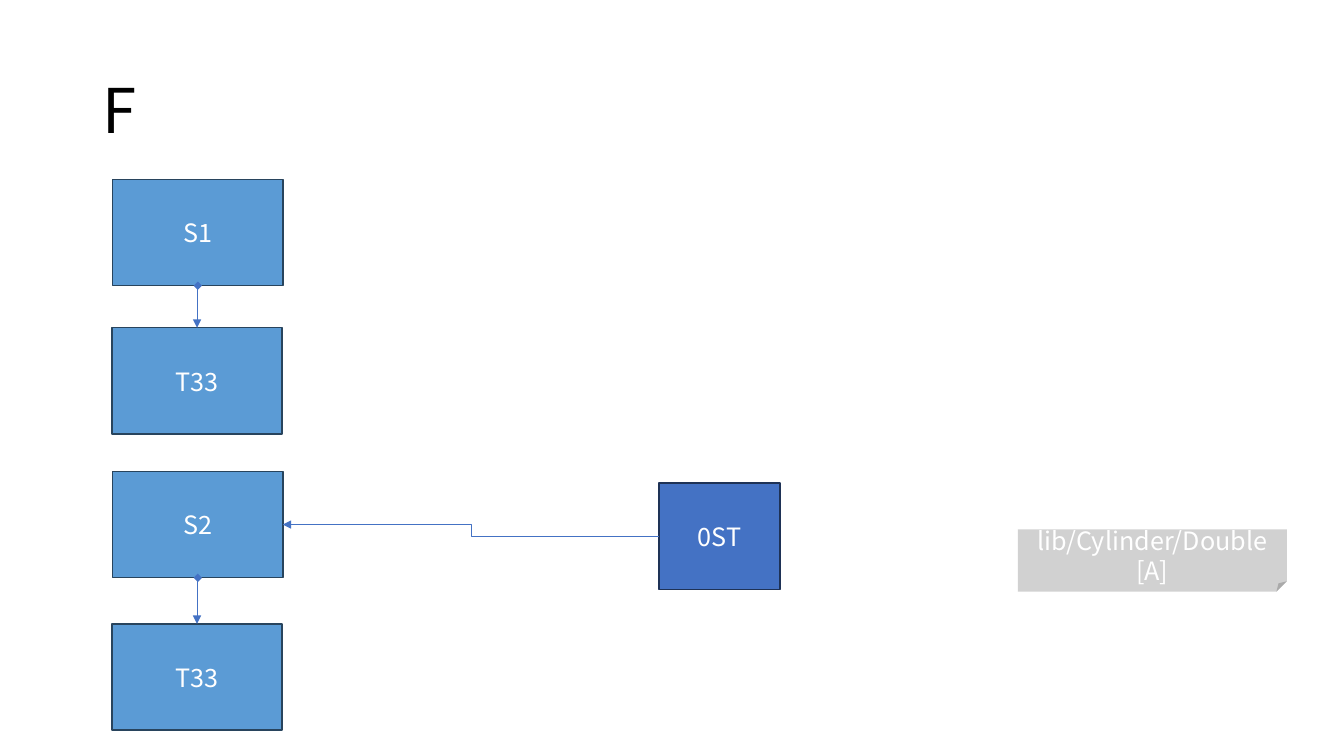
from lxml.etree import SubElement
from pptx import Presentation
from pptx.dml.color import RGBColor
from pptx.enum.shapes import MSO_CONNECTOR, MSO_SHAPE
from pptx.enum.text import MSO_ANCHOR, PP_ALIGN
from pptx.oxml.ns import qn
from pptx.util import Cm, Pt

FONT = "Noto Sans CJK KR"
STEP_WIDTH, BOX_HEIGHT = 4.29, 2.68
STEP_FILL, STEP_LINE = "5B9BD5", "28445D"
STATION_FILL, STATION_LINE = "4472C4", "1E3256"
ARROW = "4472C4"
TOP, LEFT, BOTTOM, RIGHT = range(4)  # connection sites of a rectangle


def rgb(hex_color):
    return RGBColor.from_string(hex_color)


def write(shape, lines, size, color, align):
    frame = shape.text_frame
    frame.word_wrap = True
    frame.vertical_anchor = MSO_ANCHOR.MIDDLE
    frame.text = "\n".join(lines)
    for paragraph in frame.paragraphs:
        paragraph.alignment = align
        paragraph.font.name = FONT
        paragraph.font.size = Pt(size)
        paragraph.font.color.rgb = rgb(color)


def add_title(slide, text):
    title = slide.shapes.add_textbox(Cm(2.34), Cm(1.02), Cm(29.21), Cm(3.68))
    write(title, [text], 44, "000000", PP_ALIGN.LEFT)
    title.text_frame.paragraphs[0].line_spacing = 0.9


def add_box(slide, preset, bounds, lines, fill, outline=None):
    box = slide.shapes.add_shape(preset, *map(Cm, bounds))
    box.shadow.inherit = False
    box.fill.solid()
    box.fill.fore_color.rgb = rgb(fill)
    if outline:
        box.line.color.rgb = rgb(outline)
        box.line.width = Pt(1)
    else:
        box.line.fill.background()
    write(box, lines, 18, "FFFFFF", PP_ALIGN.CENTER)
    return box


def add_step(slide, left, top, label):
    bounds = (left, top, STEP_WIDTH, BOX_HEIGHT)
    return add_box(slide, MSO_SHAPE.RECTANGLE, bounds, [label],
                   STEP_FILL, STEP_LINE)


def make_translucent(shape, percent):
    color = shape.fill._xPr.find(qn("a:solidFill"))[0]
    SubElement(color, qn("a:alpha"), val=str(percent * 1000))


def add_arrow(slide, source, source_site, target, target_site, head=None):
    arrow = slide.shapes.add_connector(MSO_CONNECTOR.ELBOW, 0, 0, 0, 0)
    arrow.begin_connect(source, source_site)
    arrow.end_connect(target, target_site)
    arrow.line.color.rgb = rgb(ARROW)
    arrow.line.width = Pt(0.5)
    line = arrow.line._get_or_add_ln()
    if head:
        SubElement(line, qn("a:headEnd"), type=head)
    SubElement(line, qn("a:tailEnd"), type="triangle")
    SubElement(arrow._element.spPr, qn("a:effectLst"))
    return arrow


def add_down_arrow(slide, source, target):
    """Turn the elbow by 90 degrees so that it leaves and arrives vertically."""
    arrow = add_arrow(slide, source, BOTTOM, target, TOP, "diamond")
    drift, drop = arrow.width, arrow.height
    center_x, center_y = arrow.left + drift // 2, arrow.top + drop // 2
    arrow.left, arrow.top = center_x - drop // 2, center_y - drift // 2
    arrow.width, arrow.height = drop, drift
    transform = arrow._element.spPr.find(qn("a:xfrm"))
    transform.attrib.pop("flipH", None)
    transform.set("rot", str(90 * 60000))


def main():
    deck = Presentation()
    deck.slide_width, deck.slide_height = Cm(33.87), Cm(19.05)
    slide = deck.slides.add_slide(deck.slide_layouts[6])

    add_title(slide, "F")
    station = add_box(slide, MSO_SHAPE.RECTANGLE,
                      (16.61, 12.17, 3.05, BOX_HEIGHT), ["0ST"],
                      STATION_FILL, STATION_LINE)
    library = add_box(slide, MSO_SHAPE.FOLDED_CORNER,
                      (25.65, 13.34, 6.78, 1.57),
                      ["lib/Cylinder/Double", "[A]"], "A5A5A5")
    make_translucent(library, 50)

    for state, state_top, transition_top in (("S1", 4.52, 8.26),
                                             ("S2", 11.88, 15.72)):
        state_box = add_step(slide, 2.84, state_top, state)
        transition_box = add_step(slide, 2.82, transition_top, "T33")
        add_down_arrow(slide, state_box, transition_box)
    add_arrow(slide, station, LEFT, state_box, RIGHT)

    deck.save("out.pptx")


if __name__ == "__main__":
    main()
